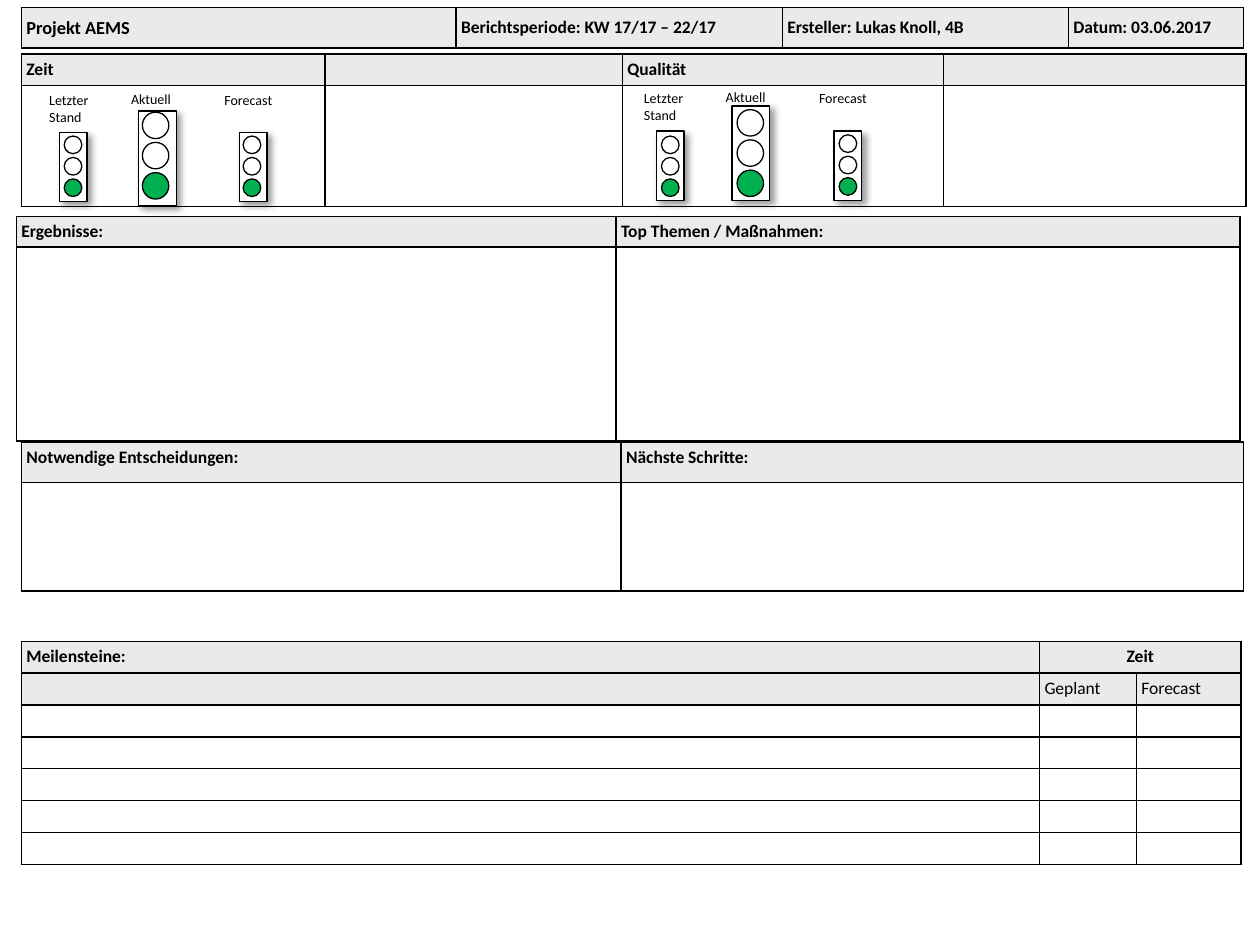
"""Build a one-page project status report."""
from typing import NamedTuple, Optional

import pptx
import pptx.dml.color
import pptx.enum.shapes
import pptx.enum.text
import pptx.oxml.ns
import pptx.util
from lxml import etree

BLACK = pptx.dml.color.RGBColor(0x00, 0x00, 0x00)
WHITE = pptx.dml.color.RGBColor(0xFF, 0xFF, 0xFF)
GRAY = pptx.dml.color.RGBColor(0xEA, 0xEA, 0xEA)
GREEN = pptx.dml.color.RGBColor(0x00, 0xB0, 0x50)

FONT = "Calibri"
COLUMNS, ROWS = 1000, 750  # slide grid
CELL = pptx.util.Inches(0.01)
SHAPE = pptx.enum.shapes.MSO_SHAPE
ALIGN = pptx.enum.text.PP_ALIGN
ANCHOR = pptx.enum.text.MSO_ANCHOR
qn = pptx.oxml.ns.qn


class Label(NamedTuple):
    """Text of a header cell."""
    text: str
    size: float = 10
    bold: bool = True
    align: Optional[ALIGN] = None
    spacing: Optional[float] = 0.95


class Grid(NamedTuple):
    """A table whose first rows are gray headers; lengths in grid cells."""
    left: int
    top: int
    cols: list[int]
    rows: list[int]
    headers: list[list[Label]]
    anchor: ANCHOR = ANCHOR.TOP
    merge: Optional[tuple[int, int]] = None  # first and last header column


class LightSize(NamedTuple):
    """Measures of a traffic light in grid cells."""
    width: int
    height: int
    lamp: int
    pitch: int


class Light(NamedTuple):
    """A captioned traffic light in grid cells."""
    lines: list[str]
    text_at: tuple[int, int, int, int]
    box_at: tuple[int, int]
    lamp_at: tuple[int, int]
    size: LightSize


SMALL = LightSize(22, 55, 14, 17)
LARGE = LightSize(30, 75, 21, 24)
EMPTY = Label("")

GRIDS = [
    Grid(17, 6, [345, 259, 227, 139], [32],
         [[Label("Projekt AEMS", 10.5), Label("Berichtsperiode: KW 17/17 – 22/17"),
           Label("Ersteller: Lukas Knoll, 4B"), Label("Datum: 03.06.2017")]],
         ANCHOR.MIDDLE),
    Grid(17, 43, [241, 236, 255, 240], [25, 96],
         [[Label("Zeit"), EMPTY, Label("Qualität"), EMPTY]]),
    Grid(17, 351, [476, 494], [32, 86],
         [[Label("Notwendige Entscheidungen:", spacing=None), Label("Nächste Schritte:")]]),
    Grid(17, 509, [808, 77, 83], [25.3] * 7,
         [[Label("Meilensteine:"), Label("Zeit", align=ALIGN.CENTER), EMPTY],
          [EMPTY, Label("Geplant", bold=False, spacing=None),
           Label("Forecast", bold=False, spacing=None)]],
         merge=(1, 2)),
    Grid(13, 172, [476, 495], [24, 154],
         [[Label("Ergebnisse:"), Label("Top Themen / Maßnahmen:")]]),
]

LIGHTS = [
    Light(["Letzter ", "Stand"], (39, 73, 39, 27), (47, 105), (51, 108), SMALL),
    Light(["Aktuell"], (104, 72, 36, 13), (110, 88), (113, 89), LARGE),
    Light(["Forecast"], (178, 73, 45, 13), (190, 105), (193, 108), SMALL),
    Light(["Letzter ", "Stand"], (511, 71, 39, 27), (521, 104), (525, 108), SMALL),
    Light(["Aktuell"], (576, 70, 36, 13), (581, 84), (585, 87), LARGE),
    Light(["Forecast"], (650, 71, 45, 13), (662, 104), (666, 107), SMALL),
]


def units(*cells: float) -> list[int]:
    """Convert grid cells to slide lengths."""
    return [round(c * CELL) for c in cells]


def set_font(p, size: float, bold: bool = False) -> None:
    """Set the font of a paragraph."""
    p.font.name, p.font.size, p.font.bold = FONT, pptx.util.Pt(size), bold
    p.font.color.rgb = BLACK


def add_borders(cell) -> None:
    """Draw a 1 pt black border on every side of a cell."""
    tc_pr = cell._tc.get_or_add_tcPr()
    for side in ("a:lnL", "a:lnR", "a:lnT", "a:lnB"):
        ln = etree.SubElement(tc_pr, qn(side), w=str(pptx.util.Pt(1)))
        fill = etree.SubElement(ln, qn("a:solidFill"))
        etree.SubElement(fill, qn("a:srgbClr"), val=str(BLACK))


def fill_cell(cell, label: Label, header: bool, anchor: ANCHOR) -> None:
    """Format one table cell and write its label."""
    add_borders(cell)
    cell.margin_left = cell.margin_right = units(4)[0]
    cell.margin_top = cell.margin_bottom = units(4)[0]
    cell.vertical_anchor = anchor
    if header:
        cell.fill.solid()
        cell.fill.fore_color.rgb = GRAY
    else:
        cell.fill.background()
    p = cell.text_frame.paragraphs[0]
    set_font(p, label.size, label.bold)
    if label.text:
        p.add_run().text = label.text
        p.alignment = label.align
        p.line_spacing = label.spacing
    else:
        etree.SubElement(p._p, qn("a:endParaRPr"), sz="800")


def add_grid(shapes, grid: Grid) -> None:
    """Add a table with its header labels."""
    box = units(grid.left, grid.top, sum(grid.cols), sum(grid.rows))
    table = shapes.add_table(len(grid.rows), len(grid.cols), *box).table
    table.first_row = table.horz_banding = False
    for col, width in zip(table.columns, units(*grid.cols)):
        col.width = width
    for row, height in zip(table.rows, units(*grid.rows)):
        row.height = height
    for r in range(len(grid.rows)):
        header = r < len(grid.headers)
        for c in range(len(grid.cols)):
            label = grid.headers[r][c] if header else EMPTY
            fill_cell(table.cell(r, c), label, header, grid.anchor)
    if grid.merge:
        first, last = grid.merge
        table.cell(0, first).merge(table.cell(0, last))


def add_outlined(shapes, kind: SHAPE, box: list[int], fill=None):
    """Add a shape with a thin black outline and an optional fill."""
    sp = shapes.add_shape(kind, *box)
    sp.shadow.inherit = False
    sp.line.color.rgb = BLACK
    sp.line.width = pptx.util.Pt(0.75)
    if fill is None:
        sp.fill.background()
    else:
        sp.fill.solid()
        sp.fill.fore_color.rgb = fill
    return sp


def add_shadow(sp) -> None:
    """Give a shape a soft shadow to the lower right."""
    effects = sp._element.spPr.find(qn("a:effectLst"))
    shadow = etree.SubElement(effects, qn("a:outerShdw"), blurRad=str(pptx.util.Pt(4)),
                              dist=str(pptx.util.Pt(3)), dir=str(45 * 60000),
                              algn="tl", rotWithShape="0")
    color = etree.SubElement(shadow, qn("a:srgbClr"), val=str(BLACK))
    etree.SubElement(color, qn("a:alpha"), val="40000")


def add_light(shapes, light: Light) -> None:
    """Add a traffic light showing green, with its caption."""
    tf = shapes.add_textbox(*units(*light.text_at)).text_frame
    tf.margin_left = tf.margin_right = tf.margin_top = tf.margin_bottom = 0
    tf.word_wrap = False
    tf.auto_size = pptx.enum.text.MSO_AUTO_SIZE.SHAPE_TO_FIT_TEXT
    tf.text = "\n".join(light.lines)
    for p in tf.paragraphs:
        set_font(p, 8)
    size = light.size
    box = units(*light.box_at, size.width, size.height)
    add_shadow(add_outlined(shapes, SHAPE.RECTANGLE, box, WHITE))
    left, top = light.lamp_at
    for i, fill in enumerate((None, None, GREEN)):
        lamp = units(left, top + i * size.pitch, size.lamp, size.lamp)
        add_outlined(shapes, SHAPE.OVAL, lamp, fill)


def main() -> None:
    """Build and save the report."""
    prs = pptx.Presentation()
    prs.slide_width, prs.slide_height = units(COLUMNS, ROWS)
    slide = prs.slides.add_slide(prs.slide_layouts[6])
    for grid in GRIDS:
        add_grid(slide.shapes, grid)
    for light in LIGHTS:
        add_light(slide.shapes, light)
    prs.save("out.pptx")


main()
